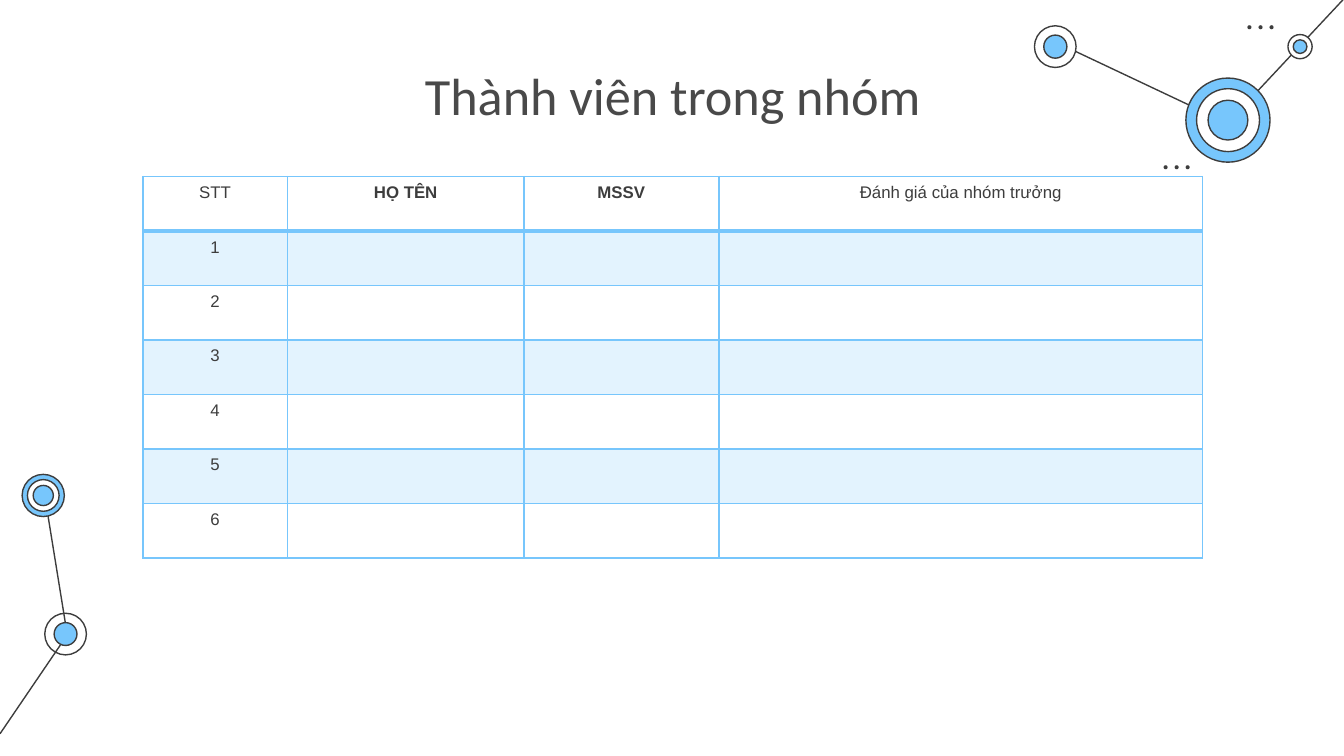
from lxml.etree import SubElement
from pptx import Presentation
from pptx.dml.color import RGBColor
from pptx.enum.shapes import MSO_CONNECTOR, MSO_SHAPE
from pptx.enum.text import MSO_ANCHOR, PP_ALIGN
from pptx.oxml.ns import qn
from pptx.util import Inches, Pt

HEX = {"ink": "3D3D3D", "sky": "77C6FC", "white": "FFFFFF", "title": "494949"}
RGB = {name: RGBColor.from_string(code) for name, code in HEX.items()}

deck = Presentation()
deck.slide_width = Inches(10)
deck.slide_height = deck.slide_width * 9 // 16
slide = deck.slides.add_slide(deck.slide_layouts[6])
shapes = slide.shapes
unit = deck.slide_width // 1000  # all lengths below are thousandths of the width


def disc(x, y, size, fill, line=True):
    """Draw a circle centred on x, y; fill None leaves it hollow."""
    dot = shapes.add_shape(MSO_SHAPE.OVAL, *[
        int(n * unit) for n in (x - size / 2, y - size / 2, size, size)])
    dot.shadow.inherit = False
    if fill:
        dot.fill.solid()
        dot.fill.fore_color.rgb = RGB[fill]
    else:
        dot.fill.background()
    if line:
        dot.line.color.rgb, dot.line.width = RGB["ink"], Pt(0.75)
    else:
        dot.line.fill.background()


def style(para, form):
    """Centre a paragraph and set its font from a dict of values."""
    form = dict(form)
    para.alignment = PP_ALIGN.CENTER
    para.font.color.rgb = RGB[form.pop("ink")]
    for key, val in form.items():
        setattr(para.font, key, val)


# Links between the nodes
for ends in [(50, 472, 33, 367), (0, 546, 49, 474),
             (914, 92, 787, 32), (1000, -1, 914, 91)]:
    link = shapes.add_connector(MSO_CONNECTOR.STRAIGHT, *[n * unit for n in ends])
    link.line.color.rgb, link.line.width = RGB["ink"], Pt(0.75)
    SubElement(link._element.spPr, qn("a:effectLst"))

# Nodes: centre, then rings from the outside in
nodes = [
    (48.8, 471.8, [(31, None), (17, "sky")]),
    (32.2, 368.7, [(31.4, "sky"), (23.6, "white"), (15, "sky")]),
    (913.7, 89.4, [(62.6, "sky"), (46.8, "white"), (29.6, "sky")]),
    (785.2, 34.7, [(31, "white"), (17.2, "sky")]),
    (967.3, 34.7, [(18, "white"), (10.2, "sky")]),
]
for x, y, rings in nodes:
    for size, fill in rings:
        disc(x, y, size, fill)

# Dotted trios
for x, y in [(929.7, 20.3), (867.3, 124.5)]:
    for step in range(3):
        disc(x + step * 8.2, y, 3, "ink", line=False)

# Title
frame = shapes.add_textbox(*[n * unit for n in (277, 37, 447, 63)]).text_frame
inset = 10 * unit
box = {"word_wrap": True, "vertical_anchor": MSO_ANCHOR.TOP,
       "margin_left": inset, "margin_right": inset,
       "margin_top": inset, "margin_bottom": inset}
for key, val in box.items():
    setattr(frame, key, val)
frame.text = "Thành viên trong nhóm"
style(frame.paragraphs[0], {"name": "Calibri", "size": Pt(28), "ink": "title"})

# Member table
heads = ["STT", "HỌ TÊN", "MSSV", "Đánh giá của nhóm trưởng"]
bold = {"HỌ TÊN", "MSSV"}
rows = [heads] + [[str(n), "", "", ""] for n in range(1, 7)]
wide = [107.5, 176, 145, 360]
high = 40.55
area = (106.3, 131.4, sum(wide), high * len(rows))
table = shapes.add_table(len(rows), len(heads),
                         *[int(n * unit) for n in area]).table
table.first_row = table.horz_banding = False
for col, width in zip(table.columns, wide):
    col.width = int(width * unit)
for r, row in enumerate(rows):
    table.rows[r].height = int(high * unit)
    for c, text in enumerate(row):
        cell = table.cell(r, c)
        cell.text = text
        cell.margin_left = cell.margin_right = inset
        cell.margin_top = cell.margin_bottom = inset // 2
        style(cell.text_frame.paragraphs[0], {
            "name": "Arial", "size": Pt(9), "ink": "ink", "bold": text in bold})
        props = cell._tc.get_or_add_tcPr()
        for side in "LRTB":
            thick = (r, side) in [(0, "B"), (1, "T")]
            edge = SubElement(props, qn(f"a:ln{side}"), w=str(Pt(2 if thick else 1)))
            paint = SubElement(edge, qn("a:solidFill"))
            SubElement(paint, qn("a:srgbClr"), val=HEX["sky"])
        if r % 2:
            cell.fill.solid()
            cell.fill.fore_color.rgb = RGB["sky"]
            tint = props.find(qn("a:solidFill")).find(qn("a:srgbClr"))
            SubElement(tint, qn("a:alpha"), val="20000")
        else:
            cell.fill.background()

deck.save("out.pptx")
